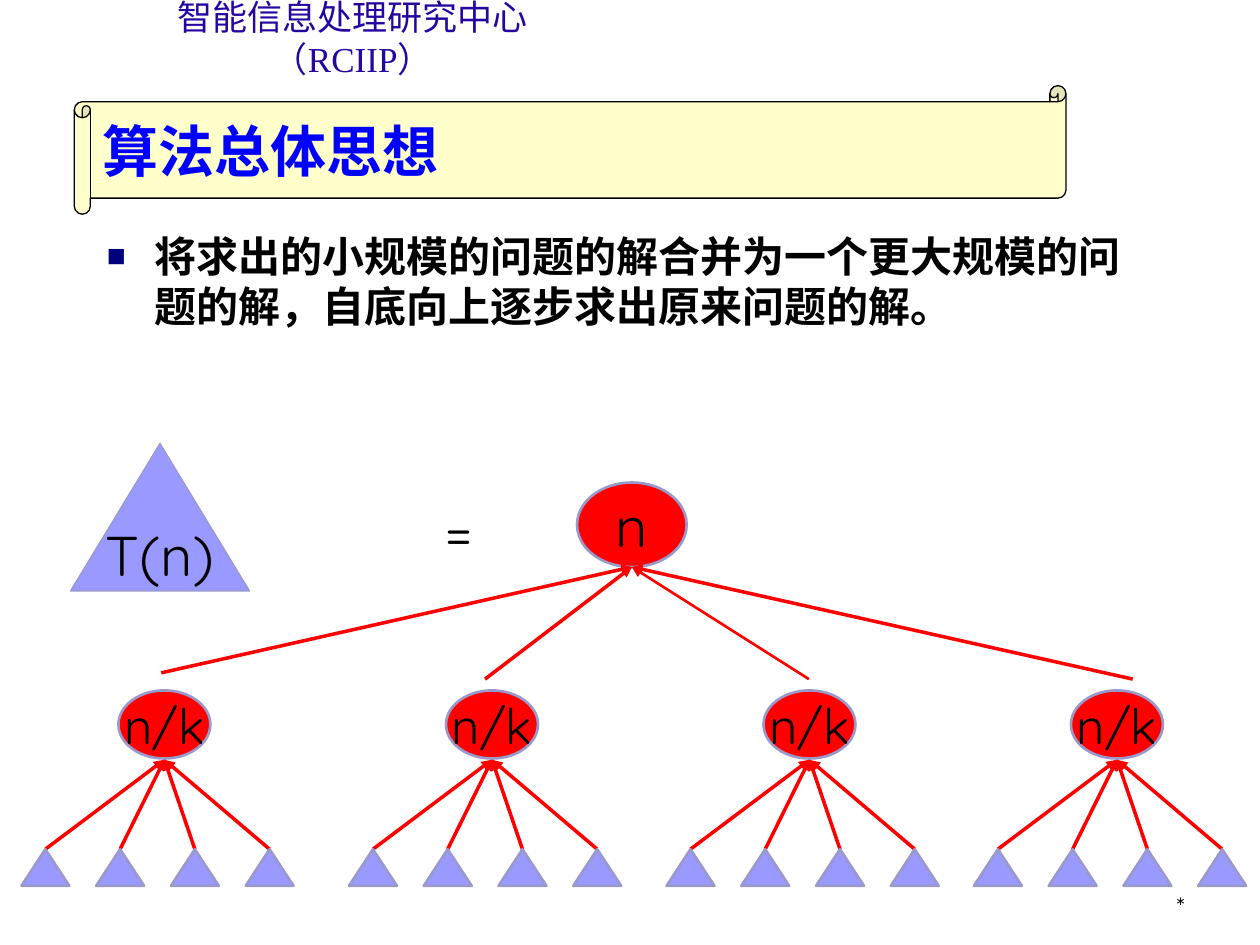
from lxml import etree
from pptx import Presentation
from pptx.dml.color import RGBColor
from pptx.enum.shapes import MSO_CONNECTOR, MSO_SHAPE
from pptx.enum.text import MSO_ANCHOR, PP_ALIGN
from pptx.oxml.ns import qn
from pptx.util import Inches, Pt

ELLIPSE = MSO_SHAPE.OVAL
TRIANGLE = MSO_SHAPE.ISOSCELES_TRIANGLE
SCROLL = MSO_SHAPE.HORIZONTAL_SCROLL
STRAIGHT = MSO_CONNECTOR.STRAIGHT
LEFT, CENTER, RIGHT = PP_ALIGN.LEFT, PP_ALIGN.CENTER, PP_ALIGN.RIGHT
TOP, MIDDLE, BOTTOM = MSO_ANCHOR.TOP, MSO_ANCHOR.MIDDLE, MSO_ANCHOR.BOTTOM

RED, LILAC, EDGE, BLACK = "FF0000", "9999FF", "9999CC", "000000"
MATH = "Quicksand"
BRANCHES = 4
SUBTREE_LEFTS = (0.17, 2.77, 5.29, 7.73)


def rgb(value):
    """Turn a hex string into a colour."""
    return RGBColor.from_string(value)


def add_element(parent, tag, **attributes):
    """Append a drawing element with the given attributes."""
    return etree.SubElement(parent, qn(tag), attributes)


def style_run(r, size, font, color, bold=False):
    """Set the font of one run."""
    r.font.size = Pt(size)
    r.font.name = font
    r.font.bold = bold
    r.font.color.rgb = rgb(color)


def write(sp, text, size, font, color=BLACK, align=CENTER, anchor=MIDDLE,
          wrap=False, bold=False):
    """Write one paragraph into a shape and return it."""
    tf = sp.text_frame
    tf.word_wrap = wrap
    tf.vertical_anchor = anchor
    tf.margin_left = tf.margin_right = Inches(0.1)
    tf.margin_top = tf.margin_bottom = Inches(0.05)
    p = tf.paragraphs[0]
    p.text = text
    p.alignment = align
    style_run(p.runs[0], size, font, color, bold)
    return p


def add_box(s, box):
    """Add an empty text box."""
    return s.shapes.add_textbox(*map(Inches, box))


def add_node(s, kind, box, fill, line=EDGE, weight=1.5):
    """Add a filled and outlined preset shape."""
    sp = s.shapes.add_shape(kind, *map(Inches, box))
    sp.shadow.inherit = False
    sp.fill.solid()
    sp.fill.fore_color.rgb = rgb(fill)
    sp.line.color.rgb = rgb(line)
    sp.line.width = Pt(weight)
    return sp


def add_arrow(s, parent, child, weight=2):
    """Draw a line from child to parent with its arrowhead at the parent."""
    line = s.shapes.add_connector(STRAIGHT, *map(Inches, parent + child))
    line.line.color.rgb = rgb(RED)
    line.line.width = Pt(weight)
    add_element(line.line._get_or_add_ln(), "a:headEnd", type="triangle")
    add_element(line._element.spPr, "a:effectLst")


def add_header(s, box):
    """Place the name of the research centre."""
    p = write(add_box(s, box), "智能信息处理研究中心", 20, "Arial", "2605A1")
    r = p.add_run()
    r.text = "（RCIIP）"
    style_run(r, 20, "Times New Roman", "2605A1")


def add_title(s, box):
    """Place the title on a half-transparent scroll."""
    sp = add_node(s, SCROLL, box, "FFFF99", BLACK, 0.75)
    color = sp._element.spPr.find(qn("a:solidFill"))[0]
    add_element(color, "a:alpha", val="50000")
    p = write(sp, "算法总体思想", 32, "Arial", "0000FF", LEFT, bold=True)
    pPr = p._p.get_or_add_pPr()
    pPr.set("marL", str(Inches(0.5)))
    pPr.set("indent", str(-Inches(0.5)))


def add_statement(s, box):
    """Place the bulleted statement."""
    p = write(add_box(s, box),
              "将求出的小规模的问题的解合并为一个更大规模的问题的解，自底向上逐步求出原来问题的解。",
              24, "Arial", align=LEFT, anchor=TOP, wrap=True, bold=True)
    pPr = p._p.get_or_add_pPr()
    pPr.set("marL", str(Inches(0.38)))
    pPr.set("indent", str(-Inches(0.38)))
    add_element(add_element(pPr, "a:buClr"), "a:srgbClr", val="00007D")
    add_element(pPr, "a:buSzPct", val="75000")
    add_element(pPr, "a:buFont", typeface="Arial")
    add_element(pPr, "a:buChar", char="■")


def add_equation(s, box):
    """Place the problem triangle and the equals sign."""
    left, top, width, height = box
    triangle = add_node(s, TRIANGLE, (left, top, 1.42, height), LILAC, weight=0.75)
    write(triangle, "T(n)", 32, MATH)
    equals = add_box(s, (left + width - 1.17, top + 0.36, 1.17, 0.64))
    write(equals, "=", 32, MATH, anchor=TOP, wrap=True)


def add_root(s, box):
    """Place the root node and the arrows that reach it from the subtrees."""
    left, top, width, height = box
    center = left + width / 2
    write(add_node(s, ELLIPSE, box, RED), "n", 32, MATH)
    for i in range(BRANCHES):
        end = (1.28 + 2.57 * i, 5.34 if i == 0 else 5.39)
        add_arrow(s, (center, top + height), end, 1.5 if i == 2 else 2)


def add_subtree(s, box):
    """Place a subproblem node above its row of leaf triangles."""
    left, top, width, height = box
    leaf_w, leaf_h = 0.38, 0.29
    node_x, node_w, node_h = left + 0.77, 0.73, 0.54
    leaf_top = top + height - leaf_h
    pitch = (width - leaf_w) / (BRANCHES - 1)
    leaf_lefts = [left + pitch * i for i in range(BRANCHES)]
    write(add_node(s, ELLIPSE, (node_x, top, node_w, node_h), RED), "n/k", 28, MATH)
    for x in leaf_lefts:
        add_arrow(s, (node_x + node_w / 2, top + node_h + 0.01),
                  (x + leaf_w / 2, leaf_top))
    for x in leaf_lefts:
        add_node(s, TRIANGLE, (x, leaf_top, leaf_w, leaf_h), LILAC)


def add_footer(s, box):
    """Place the mark at the lower right."""
    write(add_box(s, box), "*", 12, "Montserrat", align=RIGHT, anchor=BOTTOM, wrap=True)


def main():
    """Build and save the slide."""
    prs = Presentation()
    prs.slide_width, prs.slide_height = Inches(10), Inches(7.5)
    s = prs.slides.add_slide(prs.slide_layouts[6])
    add_header(s, (0.75, 0, 4.1, 0.6))
    add_footer(s, (7.17, 6.83, 2.33, 0.5))
    add_statement(s, (0.75, 1.78, 8.5, 1.02))
    add_root(s, (4.58, 3.83, 0.87, 0.67))
    add_equation(s, (0.56, 3.52, 3.67, 1.17))
    for left in SUBTREE_LEFTS:
        add_subtree(s, (left, 5.48, 2.16, 1.55))
    add_title(s, (0.59, 0.68, 7.87, 1.02))
    prs.save("out.pptx")


if __name__ == "__main__":
    main()
